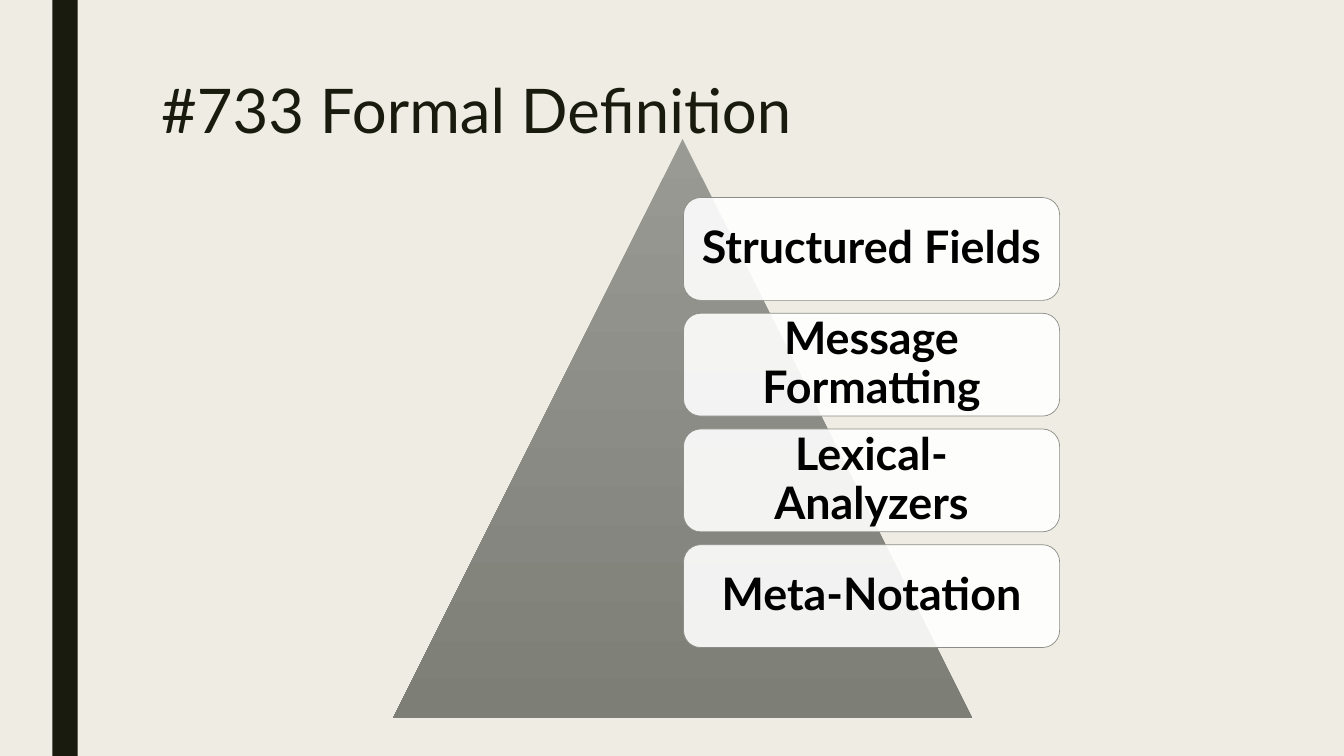
import dataclasses

import lxml.etree
import pptx
import pptx.dml.color
import pptx.enum.shapes
import pptx.enum.text
import pptx.oxml.ns
import pptx.util

Inches = pptx.util.Inches
RGB = pptx.dml.color.RGBColor.from_string
SHAPE = pptx.enum.shapes.MSO_SHAPE
ALIGN = pptx.enum.text.PP_ALIGN
ANCHOR = pptx.enum.text.MSO_ANCHOR


@dataclasses.dataclass(frozen=True)
class Theme:
    font: str = "Lato"
    background: str = "EFEDE3"
    dark: str = "191B0E"
    pyramid_top: str = "999A94"
    pyramid_bottom: str = "7D7E76"
    card: str = "FFFFFF"
    card_opacity: int = 90
    card_line: str = "8C8D86"
    card_text: str = "000000"
    title_size: int = 44
    card_size: int = 32


@dataclasses.dataclass(frozen=True)
class Box:
    left: float
    top: float
    width: float
    height: float


@dataclasses.dataclass(frozen=True)
class Card:
    text: str
    box: Box


THEME = Theme()
TITLE = "#733 Formal Definition"
LAYERS = ["Structured Fields", "Message Formatting", "Lexical-Analyzers", "Meta-Notation"]
FIRST_CARD = Box(6.78, 1.96, 3.73, 1.02)
CARD_PITCH = 1.148
CARDS = [
    Card(text, dataclasses.replace(FIRST_CARD, top=FIRST_CARD.top + i * CARD_PITCH))
    for i, text in enumerate(LAYERS)
]


def lengths(box: Box) -> list[int]:
    return [Inches(v) for v in dataclasses.astuple(box)]


def add_shape(s, kind, box: Box):
    """Add a preset shape without shadow or outline."""
    sp = s.shapes.add_shape(kind, *lengths(box))
    sp.shadow.inherit = False
    sp.line.fill.background()
    return sp


def set_text(tf, text: str, size: int, color: str, bold: bool, align, inset: float) -> None:
    """Fill a text frame with one styled paragraph."""
    tf.text = text
    tf.word_wrap = True
    tf.margin_left = tf.margin_right = Inches(inset)
    p = tf.paragraphs[0]
    p.alignment = align
    p.line_spacing = 0.9
    r = p.runs[0]
    r.font.name = THEME.font
    r.font.size = pptx.util.Pt(size)
    r.font.bold = bold
    r.font.color.rgb = RGB(color)


def add_title(s, text: str, box: Box) -> None:
    sp = s.shapes.add_textbox(*lengths(box))
    set_text(sp.text_frame, text, THEME.title_size, THEME.dark, False, ALIGN.LEFT, 0.1)


def add_side_bar(s, box: Box) -> None:
    sp = add_shape(s, SHAPE.RECTANGLE, box)
    sp.fill.solid()
    sp.fill.fore_color.rgb = RGB(THEME.dark)


def add_pyramid(s, box: Box) -> None:
    sp = add_shape(s, SHAPE.ISOSCELES_TRIANGLE, box)
    sp.fill.gradient()
    sp.fill.gradient_angle = 270
    for stop, color in zip(sp.fill.gradient_stops, (THEME.pyramid_top, THEME.pyramid_bottom)):
        stop.color.rgb = RGB(color)


def add_card(s, card: Card) -> None:
    sp = add_shape(s, SHAPE.ROUNDED_RECTANGLE, card.box)
    sp.fill.solid()
    sp.fill.fore_color.rgb = RGB(THEME.card)
    # Let the pyramid show through slightly
    color = sp.fill._xPr.find(".//" + pptx.oxml.ns.qn("a:srgbClr"))
    alpha = lxml.etree.SubElement(color, pptx.oxml.ns.qn("a:alpha"))
    alpha.set("val", str(THEME.card_opacity * 1000))
    sp.line.color.rgb = RGB(THEME.card_line)
    sp.line.width = pptx.util.Pt(0.5)
    tf = sp.text_frame
    set_text(tf, card.text, THEME.card_size, THEME.card_text, True, ALIGN.CENTER, 0.13)
    tf.margin_top = tf.margin_bottom = Inches(0.13)
    tf.vertical_anchor = ANCHOR.MIDDLE


def main() -> None:
    prs = pptx.Presentation()
    prs.slide_width, prs.slide_height = Inches(13.33), Inches(7.5)
    s = prs.slides.add_slide(prs.slide_layouts[6])

    # Background and side bar
    s.background.fill.solid()
    s.background.fill.fore_color.rgb = RGB(THEME.background)
    add_side_bar(s, Box(0.52, 0, 0.25, 7.5))

    # Title
    add_title(s, TITLE, Box(1.5, 0.75, 10.5, 1.62))

    # Pyramid with its layer cards
    add_pyramid(s, Box(3.9, 1.38, 5.74, 5.74))
    for card in CARDS:
        add_card(s, card)

    prs.save("out.pptx")


if __name__ == "__main__":
    main()
